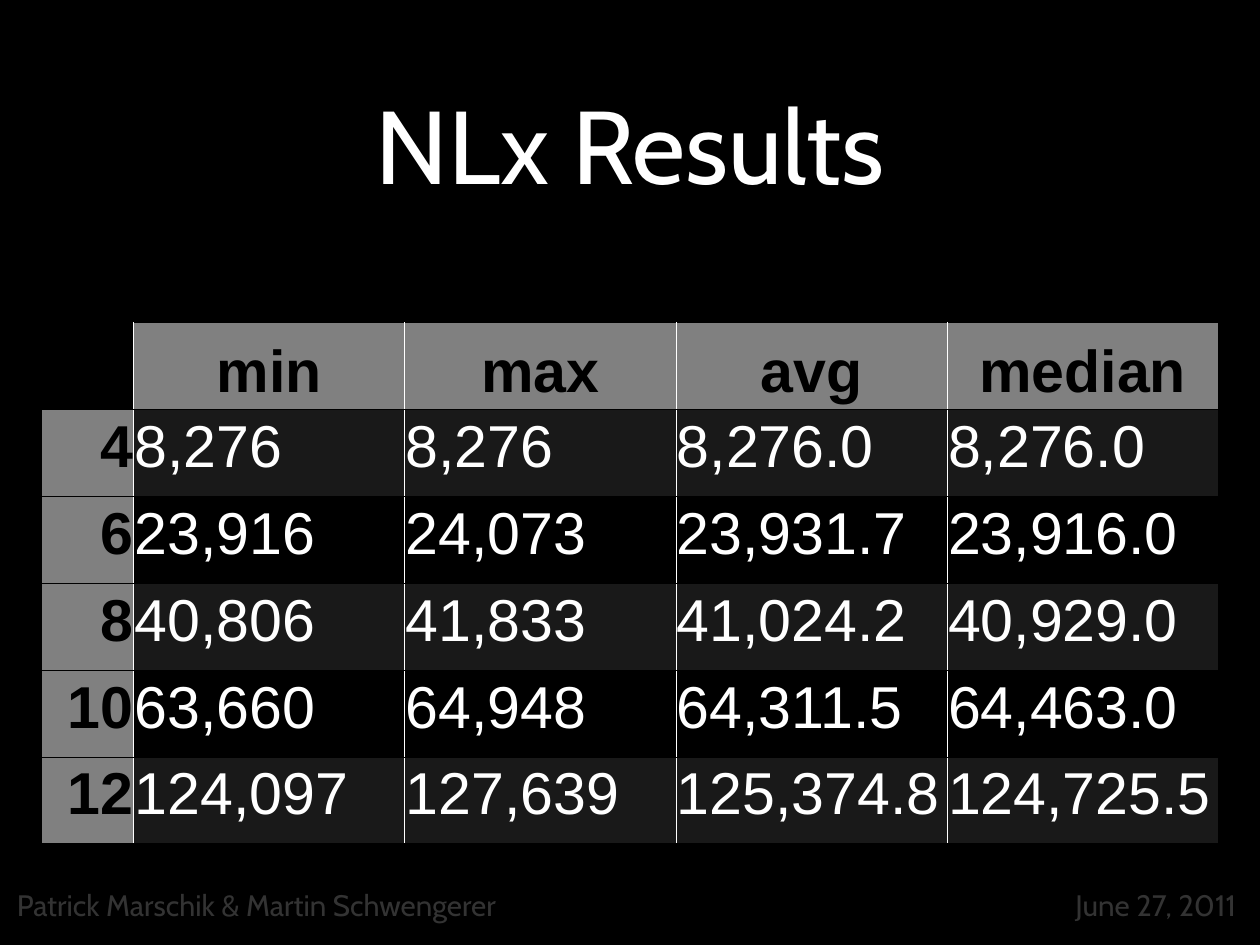
from lxml import etree
from pptx import Presentation
from pptx.dml.color import RGBColor
from pptx.enum.text import MSO_ANCHOR, PP_ALIGN
from pptx.oxml.ns import qn
from pptx.util import Inches, Pt

TITLE = "NLx Results"
RESULTS = [
    ["", "min", "max", "avg", "median"],
    ["4", "8,276", "8,276", "8,276.0", "8,276.0"],
    ["6", "23,916", "24,073", "23,931.7", "23,916.0"],
    ["8", "40,806", "41,833", "41,024.2", "40,929.0"],
    ["10", "63,660", "64,948", "64,311.5", "64,463.0"],
    ["12", "124,097", "127,639", "125,374.8", "124,725.5"],
]

LEFT, CENTER, RIGHT = PP_ALIGN.LEFT, PP_ALIGN.CENTER, PP_ALIGN.RIGHT
TOP, MIDDLE, BOTTOM = MSO_ANCHOR.TOP, MSO_ANCHOR.MIDDLE, MSO_ANCHOR.BOTTOM
BLACK = RGBColor(0x00, 0x00, 0x00)
WHITE = RGBColor(0xFF, 0xFF, 0xFF)
HEADER_GRAY = RGBColor(0x80, 0x80, 0x80)
BAND_GRAY = RGBColor(0x19, 0x19, 0x19)
FOOTER_GRAY = RGBColor(0x33, 0x33, 0x33)

FOOTERS = [
    ("Patrick Marschik & Martin Schwengerer", 0.19, 9.95, LEFT),
    ("June 27, 2011", 8.26, 9.96, RIGHT),
]
COLUMN_WIDTHS = [1.04] + [3.06] * 4
ROW_HEIGHT = 0.98
BORDER_WIDTH = Pt(0.96)

TITLE_FONT = {"name": "Cabin", "size": Pt(84), "bold": False}
FOOTER_FONT = {"name": "Cabin", "size": Pt(24)}
HEADER_FONT = {"name": "Arial", "size": Pt(48), "bold": True}
VALUE_FONT = {"name": "Arial", "size": Pt(48), "bold": False}


def set_attributes(target, values):
    for name, value in values.items():
        setattr(target, name, value)


def write(frame, text, align, font, color):
    frame.text = text
    para = frame.paragraphs[0]
    para.alignment = align
    span = para.runs[0]
    set_attributes(span.font, font)
    span.font.color.rgb = color


def set_frame(frame, anchor, inset):
    margins = ("margin_left", "margin_top", "margin_right", "margin_bottom")
    set_attributes(frame, dict.fromkeys(margins, Inches(inset)))
    set_attributes(frame, {"word_wrap": True, "vertical_anchor": anchor})


def set_border(cell, side, color):
    properties = cell._tc.get_or_add_tcPr()
    line = etree.SubElement(properties, qn(f"a:ln{side}"), w=str(BORDER_WIDTH))
    fill = etree.SubElement(line, qn("a:solidFill"))
    etree.SubElement(fill, qn("a:srgbClr"), val=str(color))


def format_cell(cell, text, row, column):
    is_header = row == 0 or column == 0
    last_column = len(COLUMN_WIDTHS) - 1
    set_attributes(cell, {
        "margin_left": Inches(0.01), "margin_right": Inches(0.01),
        "margin_top": Inches(0.05), "margin_bottom": Inches(0.05),
        "vertical_anchor": BOTTOM if row == 0 else TOP,
    })
    set_border(cell, "L", BLACK if column == 0 else WHITE)
    set_border(cell, "R", BLACK if column == last_column else WHITE)
    set_border(cell, "T", BLACK)
    set_border(cell, "B", BLACK)
    if text and (is_header or row % 2):
        cell.fill.solid()
        cell.fill.fore_color.rgb = HEADER_GRAY if is_header else BAND_GRAY
    else:
        cell.fill.background()
    if text:
        align = CENTER if row == 0 else RIGHT if column == 0 else LEFT
        font, color = (HEADER_FONT, BLACK) if is_header else (VALUE_FONT, WHITE)
        write(cell.text_frame, text, align, font, color)


def add_results(page):
    height = ROW_HEIGHT * len(RESULTS)
    table = page.shapes.add_table(
        len(RESULTS), len(COLUMN_WIDTHS), Inches(0.47), Inches(3.64),
        Inches(sum(COLUMN_WIDTHS)), Inches(height)).table
    set_attributes(table, {"first_row": False, "horz_banding": False})
    for column, width in zip(table.columns, COLUMN_WIDTHS):
        column.width = Inches(width)
    for row, values in enumerate(RESULTS):
        table.rows[row].height = Inches(ROW_HEIGHT)
        for column, text in enumerate(values):
            format_cell(table.cell(row, column), text, row, column)


def main():
    deck = Presentation()
    deck.slide_width, deck.slide_height = Inches(14.22), Inches(10.66)
    page = deck.slides.add_slide(deck.slide_layouts[5])
    page.background.fill.solid()
    page.background.fill.fore_color.rgb = BLACK

    title = page.shapes.title
    set_attributes(title, {"left": Inches(1.39), "top": Inches(0.28),
                           "width": Inches(11.44), "height": Inches(2.67)})
    set_frame(title.text_frame, MIDDLE, 0.06)
    write(title.text_frame, TITLE, CENTER, TITLE_FONT, WHITE)

    add_results(page)

    for text, left, top, align in FOOTERS:
        box = page.shapes.add_textbox(
            Inches(left), Inches(top), Inches(5.69), Inches(0.5))
        set_frame(box.text_frame, MIDDLE, 0)
        write(box.text_frame, text, align, FOOTER_FONT, FOOTER_GRAY)

    deck.save("out.pptx")


if __name__ == "__main__":
    main()
